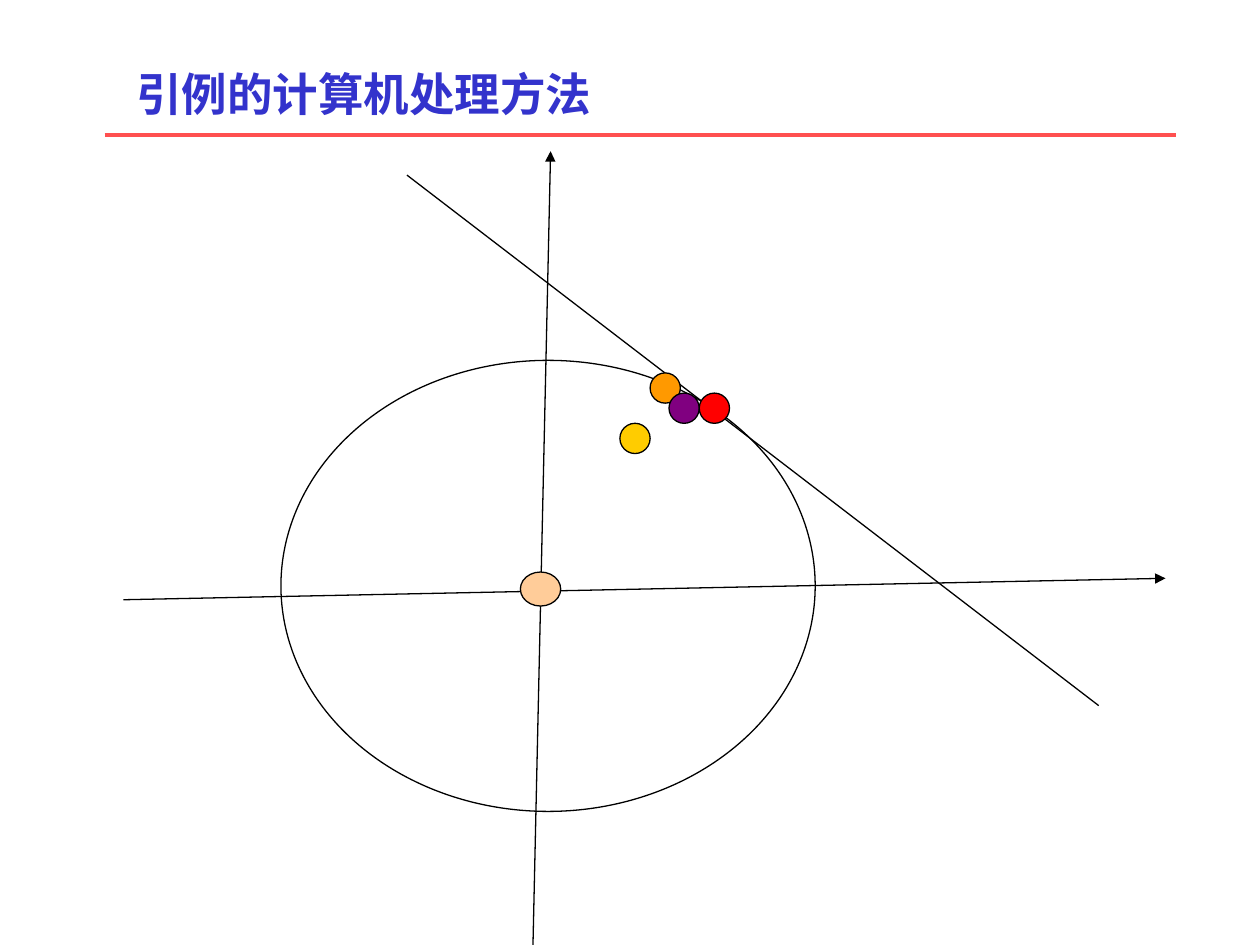
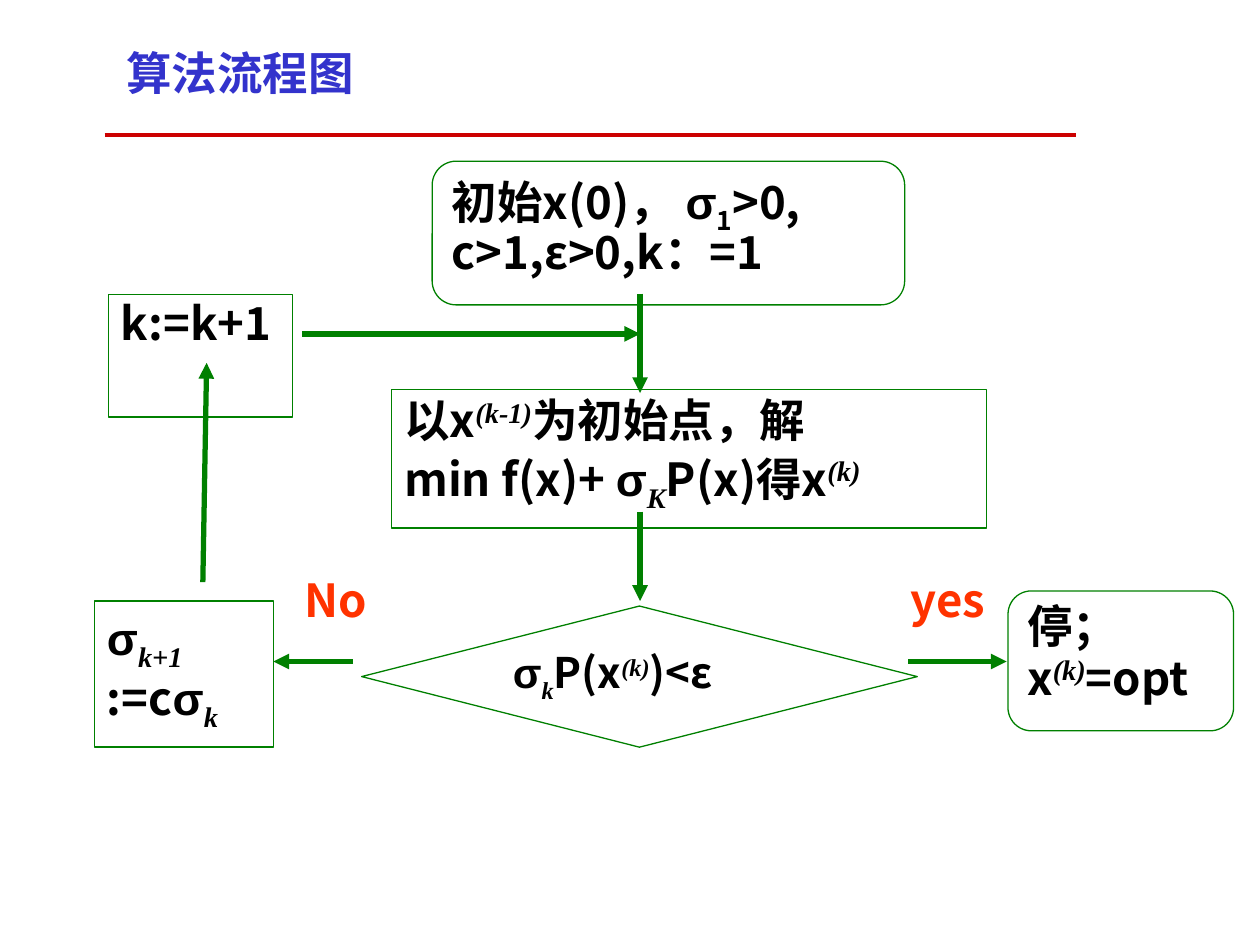
"""Build two slides: the tangent-line figure and the algorithm flow chart."""
from lxml import etree
from pptx import Presentation, util as u
from pptx.dml.color import RGBColor
from pptx.enum import shapes, text
from pptx.oxml.ns import qn

PX = 9144
BLACK = RGBColor(0, 0, 0)
BLUE = RGBColor(0x33, 0x33, 0xCC)
GREEN = RGBColor(0, 0x80, 0)
CORAL = RGBColor(0xFF, 0x50, 0x50)
RED = RGBColor(0xCC, 0, 0)
ORANGE = RGBColor(0xFF, 0x33, 0)
PEACH = RGBColor(0xFF, 0xCC, 0x99)
GOLD = RGBColor(0xFF, 0xCC, 0)
AMBER = RGBColor(0xFF, 0x99, 0)
PURPLE = RGBColor(0x80, 0, 0x80)
BRIGHT = RGBColor(0xFF, 0, 0)
SANS, GREEK, SERIF = "Noto Sans CJK SC", "Arial", "Times New Roman"
BASE = {"^": "30000", "_": "-25000", "~": "-25000"}
KIND = shapes.MSO_SHAPE


def write(shape, lines, color, size=26, raised=28):
    """Write lines of runs split by |; ^ raises, _ lowers, ~ lowers upright."""
    frame = shape.text_frame
    frame.auto_size = text.MSO_AUTO_SIZE.NONE
    frame.vertical_anchor = text.MSO_ANCHOR.TOP
    frame.margin_left = frame.margin_right = 10 * PX
    frame.margin_top = frame.margin_bottom = 5 * PX
    for i, line in enumerate(lines):
        para = frame.add_paragraph() if i else frame.paragraphs[0]
        para.alignment = text.PP_ALIGN.LEFT
        para.line_spacing = 0.9
        for part in line.split("|"):
            mark = part[0] if part[0] in BASE else ""
            slant = mark in ("^", "_") and mark != ""
            run = para.add_run()
            run.text = part[len(mark):]
            font = run.font
            font.name = SERIF if slant else GREEK if part == "σ" else SANS
            font.size = u.Pt(raised if slant else size)
            font.bold, font.italic = True, slant
            font.color.rgb = color
            props = run._r.get_or_add_rPr()
            props.find(qn("a:latin")).addnext(
                props.makeelement(qn("a:ea"), {"typeface": SANS}))
            if mark:
                props.set("baseline", BASE[mark])


def draw(slide, ends, color, width, arrow=False):
    """Draw a straight line, with an arrowhead at its end if asked."""
    link = slide.shapes.add_connector(
        shapes.MSO_CONNECTOR.STRAIGHT, *[n * PX for n in ends])
    link.line.color.rgb = color
    link.line.width = u.Pt(width)
    if arrow:
        etree.SubElement(link.line._get_or_add_ln(), qn("a:tailEnd"), type="triangle")
    etree.SubElement(link._element.spPr, qn("a:effectLst"))


deck = Presentation()
deck.slide_width, deck.slide_height = 1000 * PX, 750 * PX

pages = []
for title, spot, end, color in [
    ("引例的计算机处理方法", (98, 52, 433, 54), 933, CORAL),
    ("算法流程图", (90, 36, 205, 54), 854, RED),
]:
    page = deck.slides.add_slide(deck.slide_layouts[5])
    head = page.shapes.title
    head.left, head.top, head.width, head.height = [n * PX for n in spot]
    head.text_frame.word_wrap = False
    write(head, [title], BLUE)
    draw(page, (83, 107, end, 107), color, 2.25)
    pages.append(page)
graph, flow = pages

for ends, arrow in [
    ((98, 476, 925, 459), True),
    ((423, 750, 437, 120), True),
    ((323, 139, 872, 560), False),
]:
    draw(graph, ends, BLACK, 0.75, arrow)

for spot, fill in [
    ((223, 286, 424, 358), None),
    ((413, 454, 32, 27), PEACH),
    ((492, 336, 24, 24), GOLD),
    ((516, 296, 24, 24), AMBER),
    ((531, 312, 24, 24), PURPLE),
    ((555, 312, 24, 24), BRIGHT),
]:
    dot = graph.shapes.add_shape(KIND.OVAL, *[n * PX for n in spot])
    dot.shadow.inherit = False
    dot.line.color.rgb = BLACK
    dot.line.width = u.Pt(0.75)
    if fill is None:
        dot.fill.background()
    else:
        dot.fill.solid()
        dot.fill.fore_color.rgb = fill

ROUND, RECT = KIND.FLOWCHART_ALTERNATE_PROCESS, KIND.RECTANGLE
for kind, spot, lines, sizes in [
    (ROUND, (343, 128, 375, 114), ["初始x(0)， |σ|~1|>0, c>1,ε>0,k：=1"], (26, 28)),
    (RECT, (311, 309, 472, 110),
     ["以x|^(k-1)|为初始点，解", "min f(x)+ |σ|_K|P(x)得x|^(k)"], (26, 28)),
    (KIND.FLOWCHART_DECISION, (287, 481, 441, 112),
     ["σ|_k|P(x|^(k)|)<ε"], (24, 24)),
    (ROUND, (800, 469, 179, 111), ["停；x|^(k)|=opt"], (26, 28)),
    (RECT, (75, 477, 142, 116), ["σ|_k+1", ":=c|σ|_k"], (26, 28)),
    (RECT, (86, 234, 146, 97), ["k:=k+1"], (26, 28)),
]:
    step = flow.shapes.add_shape(kind, *[n * PX for n in spot])
    step.shadow.inherit = False
    step.fill.background()
    step.line.color.rgb = GREEN
    step.line.width = u.Pt(0.75)
    step.text_frame.word_wrap = True
    write(step, lines, BLACK, *sizes)

for label, left, width in [("yes", 713, 87), ("No", 232, 78)]:
    box = flow.shapes.add_textbox(left * PX, 454 * PX, width * PX, 54 * PX)
    box.text_frame.word_wrap = False
    write(box, [label], ORANGE)

for ends in [
    (508, 233, 508, 312),
    (508, 406, 508, 477),
    (721, 525, 799, 525),
    (280, 525, 217, 525),
    (161, 462, 164, 288),
    (240, 265, 508, 265),
]:
    draw(flow, ends, GREEN, 3, True)

deck.save("out.pptx")
